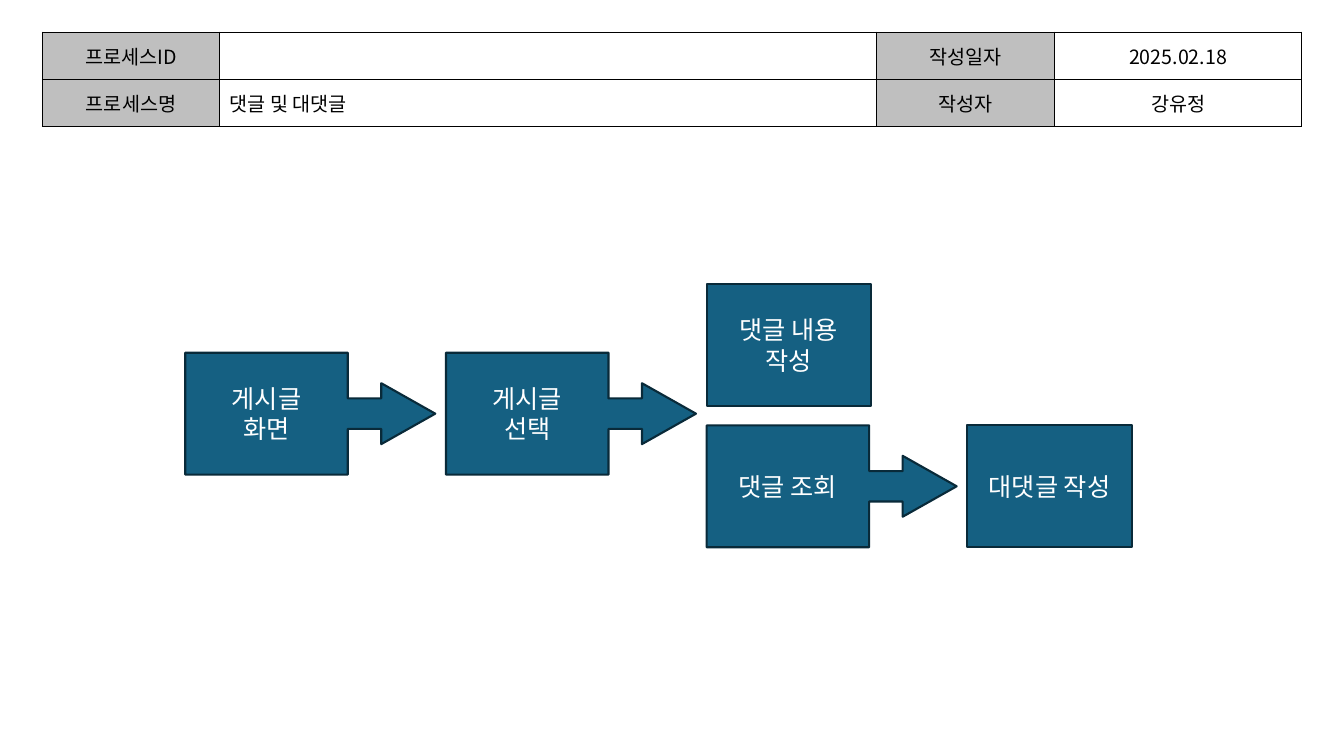
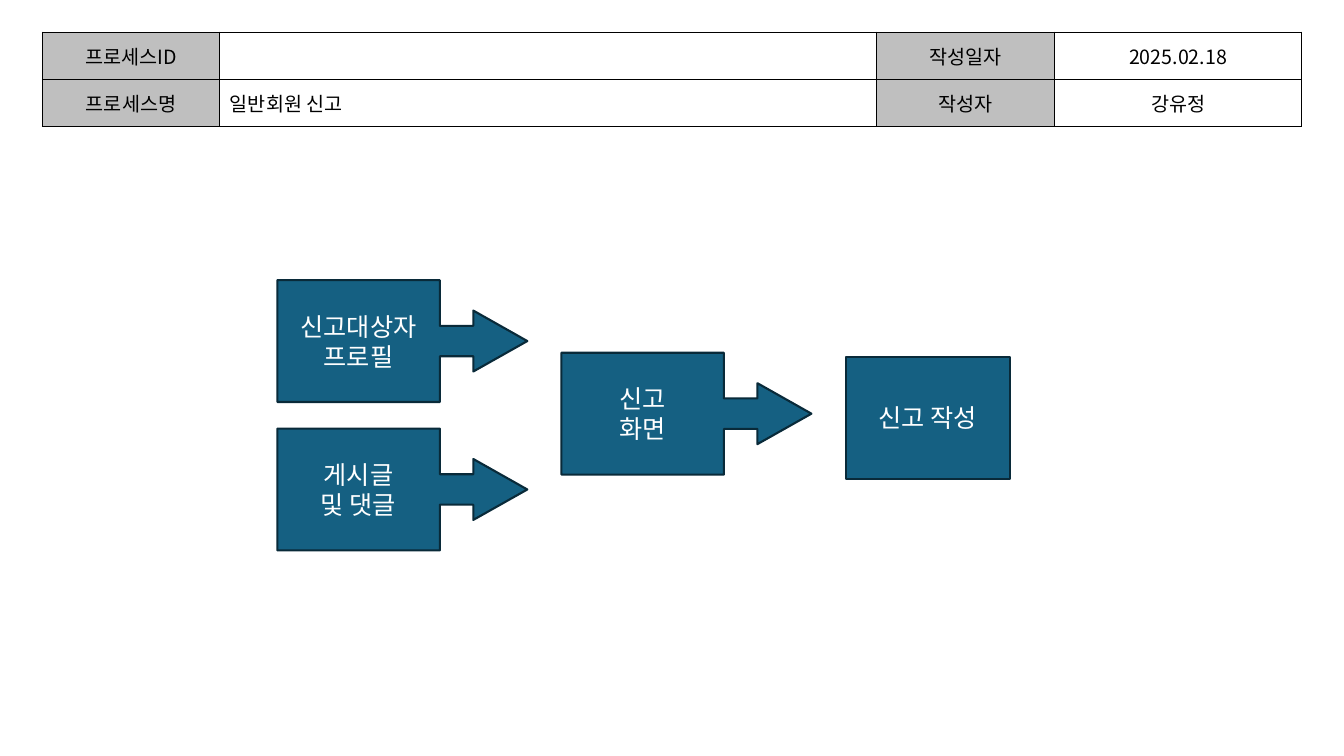
from dataclasses import dataclass

from lxml import etree
from pptx import Presentation
from pptx.dml.color import RGBColor
from pptx.enum.shapes import MSO_SHAPE
from pptx.enum.text import MSO_ANCHOR, PP_ALIGN
from pptx.oxml.ns import qn
from pptx.util import Cm, Pt

CALLOUT = MSO_SHAPE.RIGHT_ARROW_CALLOUT
PROCESS = MSO_SHAPE.FLOWCHART_PROCESS
CENTER, LEFT = PP_ALIGN.CENTER, PP_ALIGN.LEFT
MIDDLE = MSO_ANCHOR.MIDDLE


@dataclass(frozen=True)
class Theme:
    font: str = "Noto Sans CJK KR"
    box_fill: str = "156082"
    box_line: str = "092A39"
    box_text: str = "FFFFFF"
    label_fill: str = "BFBFBF"
    ink: str = "000000"
    table_size: int = 14
    box_size: int = 18
    box_border: float = 1.5
    cell_border: float = 1


THEME = Theme()

# Layout in centimetres
TABLE_X, TABLE_Y = 1.07, 0.81
COLUMNS = (4.47, 16.54, 4.5, 6.22)
ROWS = (1.19, 1.19, 14.94)
BOX_H, BOX_W, CALLOUT_W = 3.07, 4.14, 6.3
CALLOUT_ADJ = (0.25, 0.25, 0.443, 0.65)
NO_GRID_STYLE = "{2D5ABB26-0587-4C30-8999-92F81FD0307C}"


def write(tf, text, size, color, align):
    """Fill a text frame, one paragraph per line, in the theme font."""
    tf.text = text
    for p in tf.paragraphs:
        p.alignment = align
        for r in p.runs:
            r.font.name = THEME.font
            r.font.size = Pt(size)
            r.font.color.rgb = RGBColor.from_string(color)
            ea = etree.SubElement(r.font._element, qn("a:ea"))
            ea.set("typeface", THEME.font)


def set_borders(cell, sides):
    tc_pr = cell._tc.get_or_add_tcPr()
    for side in sides:
        ln = etree.SubElement(tc_pr, qn(f"a:ln{side}"))
        ln.set("w", str(Pt(THEME.cell_border)))
        fill = etree.SubElement(ln, qn("a:solidFill"))
        etree.SubElement(fill, qn("a:srgbClr")).set("val", THEME.ink)


def add_process_table(s, name):
    """Header rows above one wide, open drawing area."""
    texts = (("프로세스ID", "", "작성일자", "2025.02.18"),
             ("프로세스명", name, "작성자", "강유정"))
    frame = s.shapes.add_table(len(ROWS), len(COLUMNS), Cm(TABLE_X), Cm(TABLE_Y),
                               Cm(sum(COLUMNS)), Cm(sum(ROWS)))
    table = frame.table
    table.first_row = table.horz_banding = False
    table._tbl.tblPr.find(qn("a:tableStyleId")).text = NO_GRID_STYLE
    for column, width in zip(table.columns, COLUMNS):
        column.width = Cm(width)
    for row, height in zip(table.rows, ROWS):
        row.height = Cm(height)

    # Header cells
    for i, row_texts in enumerate(texts):
        for j, text in enumerate(row_texts):
            cell = table.cell(i, j)
            cell.vertical_anchor = MIDDLE
            set_borders(cell, "LRTB")
            if j % 2 == 0:
                cell.fill.solid()
                cell.fill.fore_color.rgb = RGBColor.from_string(THEME.label_fill)
            else:
                cell.fill.background()
            if text:
                write(cell.text_frame, text, THEME.table_size, THEME.ink,
                      LEFT if j == 1 else CENTER)

    # Drawing area
    last = len(ROWS) - 1
    for j in range(len(COLUMNS)):
        cell = table.cell(last, j)
        set_borders(cell, "T")
        cell.fill.background()
    table.cell(last, 0).merge(table.cell(last, len(COLUMNS) - 1))


def add_box(s, kind, x, y, text):
    """One step; a callout also points to the next step."""
    width = CALLOUT_W if kind == CALLOUT else BOX_W
    sp = s.shapes.add_shape(kind, Cm(x), Cm(y), Cm(width), Cm(BOX_H))
    if kind == CALLOUT:
        for i, value in enumerate(CALLOUT_ADJ):
            sp.adjustments[i] = value
    sp.shadow.inherit = False
    sp.fill.solid()
    sp.fill.fore_color.rgb = RGBColor.from_string(THEME.box_fill)
    sp.line.color.rgb = RGBColor.from_string(THEME.box_line)
    sp.line.width = Pt(THEME.box_border)
    sp.text_frame.word_wrap = True
    sp.text_frame.vertical_anchor = MIDDLE
    write(sp.text_frame, text, THEME.box_size, THEME.box_text, CENTER)


def add_process_slide(prs, name, left, pitch, steps):
    """steps: (kind, column, top, text), columns spaced by pitch."""
    s = prs.slides.add_slide(prs.slide_layouts[6])
    add_process_table(s, name)
    for kind, column, top, text in steps:
        add_box(s, kind, left + column * pitch, top, text)


def main():
    prs = Presentation()
    prs.slide_width, prs.slide_height = Cm(33.87), Cm(19.05)

    # Comments and replies
    add_process_slide(prs, "댓글 및 대댓글", 4.67, 6.57, (
        (CALLOUT, 0, 8.89, "게시글\n화면"),
        (CALLOUT, 1, 8.89, "게시글\n선택"),
        (PROCESS, 2, 7.16, "댓글 내용\n작성"),
        (CALLOUT, 2, 10.72, "댓글 조회"),
        (PROCESS, 3, 10.72, "대댓글 작성"),
    ))

    # Member reports
    add_process_slide(prs, "일반회원 신고", 6.99, 7.16, (
        (CALLOUT, 0, 7.06, "신고대상자\n프로필"),
        (CALLOUT, 0, 10.8, "게시글\n및 댓글"),
        (CALLOUT, 1, 8.89, "신고\n화면"),
        (PROCESS, 2, 8.99, "신고 작성"),
    ))

    prs.save("out.pptx")


if __name__ == "__main__":
    main()
